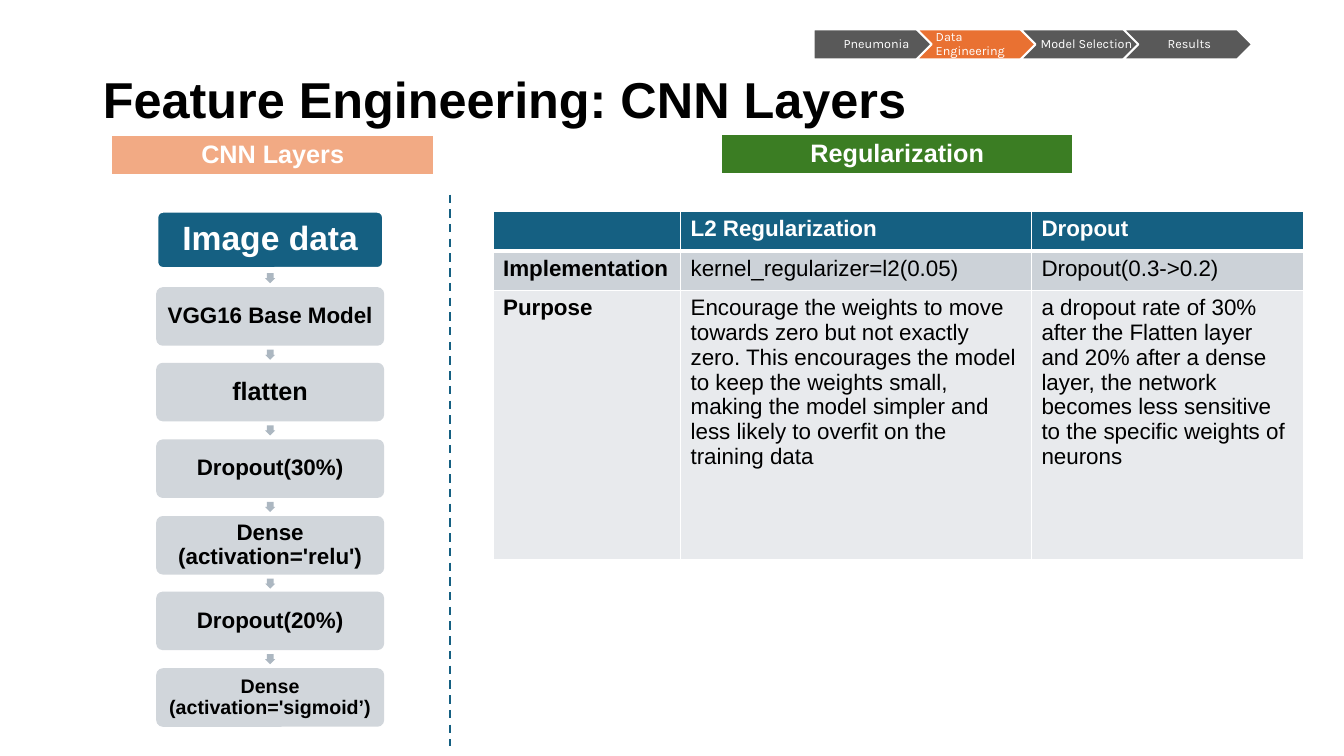
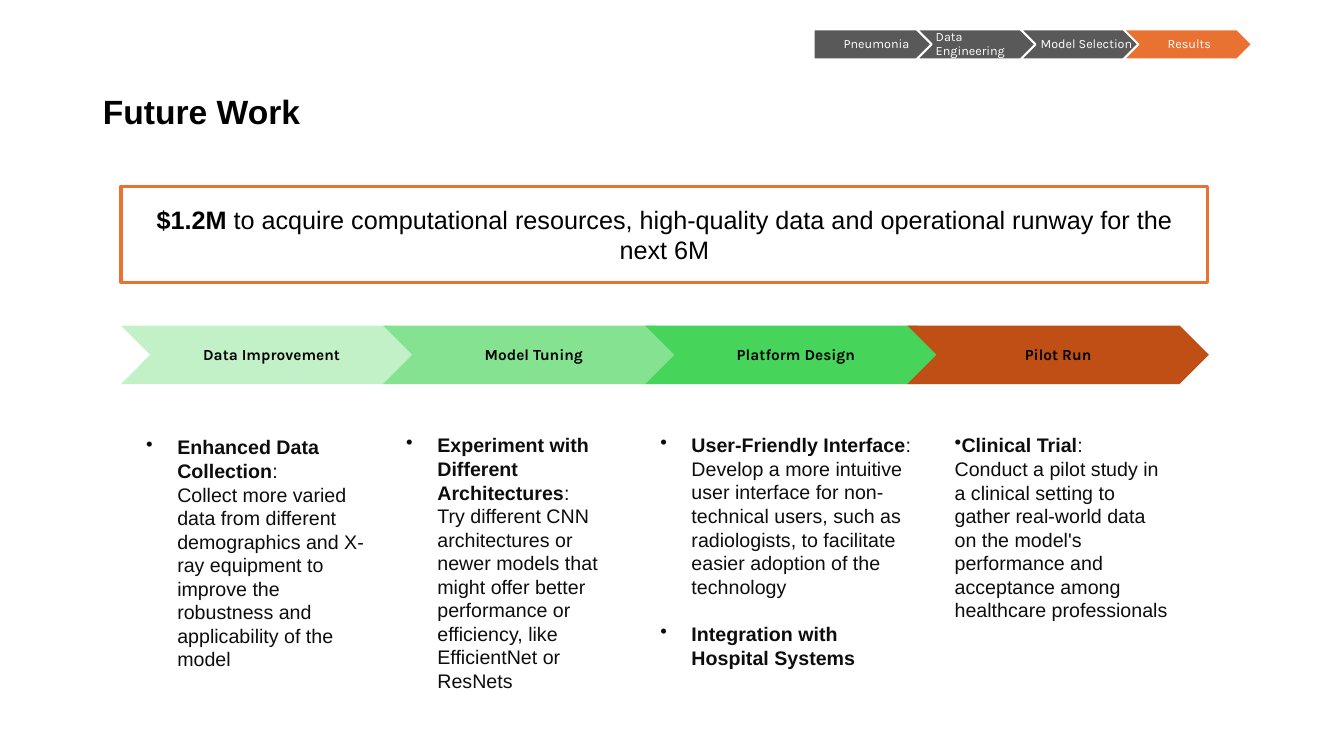
import pptx
import pptx.util
import pptx.dml.color
import pptx.enum.dml
import pptx.enum.shapes
import pptx.enum.text
import pptx.oxml
import pptx.oxml.ns
import lxml.etree

SHAPE = pptx.enum.shapes.MSO_SHAPE
ALIGN = pptx.enum.text.PP_ALIGN
ANCHOR = pptx.enum.text.MSO_ANCHOR
PX = 9144

WHITE, BLACK, INK = "FFFFFF", "000000", "0D0D0D"
BLUE, ORANGE, GRAY = "156082", "E97132", "595959"
STEP_GRAY, ARROW_GRAY = "D1D6DB", "ACB7C1"

NAV = ["Pneumonia", "Data Engineering", "Model Selection", "Results"]
LAYERS = [
    ("Image data", 24), ("VGG16 Base Model", 16), ("flatten", 18), ("Dropout(30%)", 16),
    ("Dense\n(activation='relu')", 16), ("Dropout(20%)", 16),
    ("Dense\n(activation='sigmoid’)", 14),
]
LABELS = [("Regularization", "3B7D23", (716, 133, 348)), ("CNN Layers", "F2AA84", (111, 134, 319))]
COLUMNS = [186, 348, 270]
ROWS = [
    (39, BLUE, ["", "L2 Regularization", "Dropout"]),
    (39, "CCD2D8", ["Implementation", "kernel_regularizer=l2(0.05)", "Dropout(0.3->0.2)"]),
    (267, "E8EAED", [
        "Purpose",
        "Encourage the weights to move towards zero but not exactly zero. This encourages the "
        "model to keep the weights small, making the model simpler and less likely to overfit "
        "on the training data",
        "a dropout rate of 30% after the Flatten layer and 20% after a dense layer, the network "
        "becomes less sensitive to the specific weights of neurons",
    ]),
]

FUNDING = [[("$1.2M ", True), ("to acquire computational resources, high-quality data and "
                               "operational runway for the next 6M", False)]]
PHASES = [("Data Improvement", "C2F1C8"), ("Model Tuning", "84E291"),
          ("Platform Design", "47D45A"), ("Pilot Run", "C04F15")]
DETAILS = [
    ((135, 427, 238, 246), 31, [[
        ("Enhanced Data Collection", True),
        (":\nCollect more varied data from different demographics and X-ray equipment to improve "
         "the robustness and applicability of the model", False)]]),
    ((393, 425, 217, 269), 31, [[
        ("Experiment with Different Architectures", True),
        (":\nTry different CNN architectures or newer models that might offer better performance "
         "or efficiency, like EfficientNet or ResNets", False)]]),
    ((645, 425, 272, 246), 31, [
        [("User-Friendly Interface", True),
         (": Develop a more intuitive user interface for non-technical users, such as "
          "radiologists, to facilitate easier adoption of the technology", False)],
        [("Integration with Hospital Systems", True)]]),
    ((937, 425, 234, 259), 0, [[
        ("Clinical Trial", True),
        (":\nConduct a pilot study in a clinical setting to gather real-world data on the "
         "model's performance and acceptance among healthcare professionals", False)]]),
]


def color(value):
    return pptx.dml.color.RGBColor.from_string(value)


def emu(*lengths):
    return [round(length * PX) for length in lengths]


def spread(first, last, count):
    return [round(first + (last - first) * index / (count - 1)) for index in range(count)]


def write(frame, text, size=16, ink=BLACK, font="Arial", bold=False, align=ALIGN.LEFT,
          anchor=ANCHOR.MIDDLE, spacing=None, margins=None, bullet=None, gap=0):
    frame.word_wrap = True
    frame.vertical_anchor = anchor
    if margins:
        (frame.margin_left, frame.margin_top,
         frame.margin_right, frame.margin_bottom) = emu(*margins)
    paragraphs = [[(text, bold)]] if isinstance(text, str) else text
    for index, runs in enumerate(paragraphs):
        para = frame.add_paragraph() if index else frame.paragraphs[0]
        para.alignment = align
        if spacing:
            para.line_spacing = spacing
        if index and gap:
            para.space_before = pptx.util.Pt(gap)
        if bullet is not None:
            properties = para._p.get_or_add_pPr()
            properties.set("marL", str(bullet * PX))
            properties.set("indent", str(-bullet * PX))
            mark = lxml.etree.SubElement(properties, pptx.oxml.ns.qn("a:buChar"))
            mark.set("char", "•")
        for words, heavy in runs:
            for number, line in enumerate(words.split("\n")):
                if number:
                    para.add_line_break()
                span = para.add_run()
                span.text = line
                span.font.name = font
                span.font.size = pptx.util.Pt(size)
                span.font.bold = heavy
                span.font.color.rgb = color(ink)


def add_shape(page, kind, place, fill, line=None, width=1.5, adjust=()):
    shape = page.shapes.add_shape(kind, *emu(*place))
    shape.shadow.inherit = False
    shape.fill.solid()
    shape.fill.fore_color.rgb = color(fill)
    if line:
        shape.line.color.rgb = color(line)
        shape.line.width = pptx.util.Pt(width)
    else:
        shape.line.fill.background()
    for index, value in enumerate(adjust):
        shape.adjustments[index] = value
    return shape


def add_page(deck, title, top, size, active):
    page = deck.slides.add_slide(deck.slide_layouts[5])
    heading = page.shapes.title
    heading.left, heading.top, heading.width, heading.height = emu(92, top, 1150, 145)
    write(heading.text_frame, title, size=size, bold=True, spacing=0.9)
    for index, (label, left) in enumerate(zip(NAV, spread(807, 1114, len(NAV)))):
        step = add_shape(page, SHAPE.CHEVRON if index else SHAPE.PENTAGON, (left, 29, 128, 30),
                         ORANGE if label == active else GRAY, WHITE)
        write(step.text_frame, label, size=9, ink=WHITE, font="Karla", spacing=0.9,
              align=ALIGN.LEFT if index == 1 else ALIGN.CENTER,
              margins=(4 if index else 5, 3, 1, 3))
    return page


def border(cell, sides):
    properties = cell._tc.get_or_add_tcPr()
    for index, (side, width) in enumerate(sides):
        properties.insert(index, pptx.oxml.parse_xml(
            f'<a:{side} {pptx.oxml.ns.nsdecls("a")} w="{round(width * 12700)}"><a:solidFill>'
            f'<a:srgbClr val="{WHITE}"/></a:solidFill></a:{side}>'))


def add_table(page, left, top, columns, heights):
    frame = page.shapes.add_table(len(heights), len(columns),
                                  *emu(left, top, sum(columns), sum(heights)))
    table = frame.table
    table.first_row = table.horz_banding = False
    for column, width in zip(table.columns, columns):
        column.width = width * PX
    for row, height in zip(table.rows, heights):
        row.height = height * PX
    return table


def fill_cell(cell, text, fill, anchor, width, bottom, **style):
    cell.fill.solid()
    cell.fill.fore_color.rgb = color(fill)
    border(cell, [("lnR", width), ("lnB", bottom)])
    write(cell.text_frame, text, **style)
    cell.vertical_anchor = anchor


def build_layers(deck):
    page = add_page(deck, "Feature Engineering: CNN Layers", 29, 36, "Data Engineering")
    tops = spread(210, 664, len(LAYERS))
    for index, ((label, size), top) in enumerate(zip(LAYERS, tops)):
        fill, line, ink = (STEP_GRAY, STEP_GRAY, BLACK) if index else (BLUE, WHITE, WHITE)
        box = add_shape(page, SHAPE.ROUNDED_RECTANGLE, (156, top, 224, 56), fill, line,
                        adjust=(0.1,))
        write(box.text_frame, label, size=size, ink=ink, bold=True, align=ALIGN.CENTER,
              spacing=0.9, margins=(2, 2, 2, 2))
        if index < len(LAYERS) - 1:
            add_shape(page, SHAPE.DOWN_ARROW, (263, top + 61, 10, 10), ARROW_GRAY,
                      adjust=(0.67, 0.5))

    divider = page.shapes.add_connector(pptx.enum.shapes.MSO_CONNECTOR.STRAIGHT,
                                        *emu(446, 193, 446, 740))
    divider.line.color.rgb = color(BLUE)
    divider.line.width = pptx.util.Pt(1.5)
    divider.line.dash_style = pptx.enum.dml.MSO_LINE.DASH
    lxml.etree.SubElement(divider._element.spPr, pptx.oxml.ns.qn("a:effectLst"))

    for label, fill, (left, top, width) in LABELS:
        table = add_table(page, left, top, [width], [39])
        fill_cell(table.cell(0, 0), label, fill, ANCHOR.MIDDLE, 0.5, 0.5, size=18, ink=WHITE,
                  bold=True, align=ALIGN.CENTER)

    table = add_table(page, 489, 210, COLUMNS, [height for height, _, _ in ROWS])
    for row, (_, fill, texts) in enumerate(ROWS):
        for column, text in enumerate(texts):
            fill_cell(table.cell(row, column), text, fill, ANCHOR.TOP, 1, 1 if row else 3,
                      ink=BLACK if row else WHITE, bold=row == 0 or column == 0)


def build_future(deck):
    page = add_page(deck, "Future Work", 40, 24, "Results")
    for (label, fill), left in zip(PHASES, spread(120, 900, len(PHASES))):
        phase = add_shape(page, SHAPE.CHEVRON, (left, 323, 299, 58), fill)
        write(phase.text_frame, label, size=11, font="Karla", bold=True, align=ALIGN.CENTER)
    banner = add_shape(page, SHAPE.RECTANGLE, (120, 185, 1078, 95), WHITE, ORANGE, 2.25)
    write(banner.text_frame, FUNDING, size=18, align=ALIGN.CENTER)
    for place, indent, paragraphs in DETAILS:
        box = page.shapes.add_textbox(*emu(*place))
        write(box.text_frame, paragraphs, size=14, ink=INK, anchor=ANCHOR.TOP, bullet=indent,
              gap=17)


def main():
    deck = pptx.Presentation()
    deck.slide_width, deck.slide_height = emu(1333, 750)
    build_layers(deck)
    build_future(deck)
    deck.save("out.pptx")


if __name__ == "__main__":
    main()
